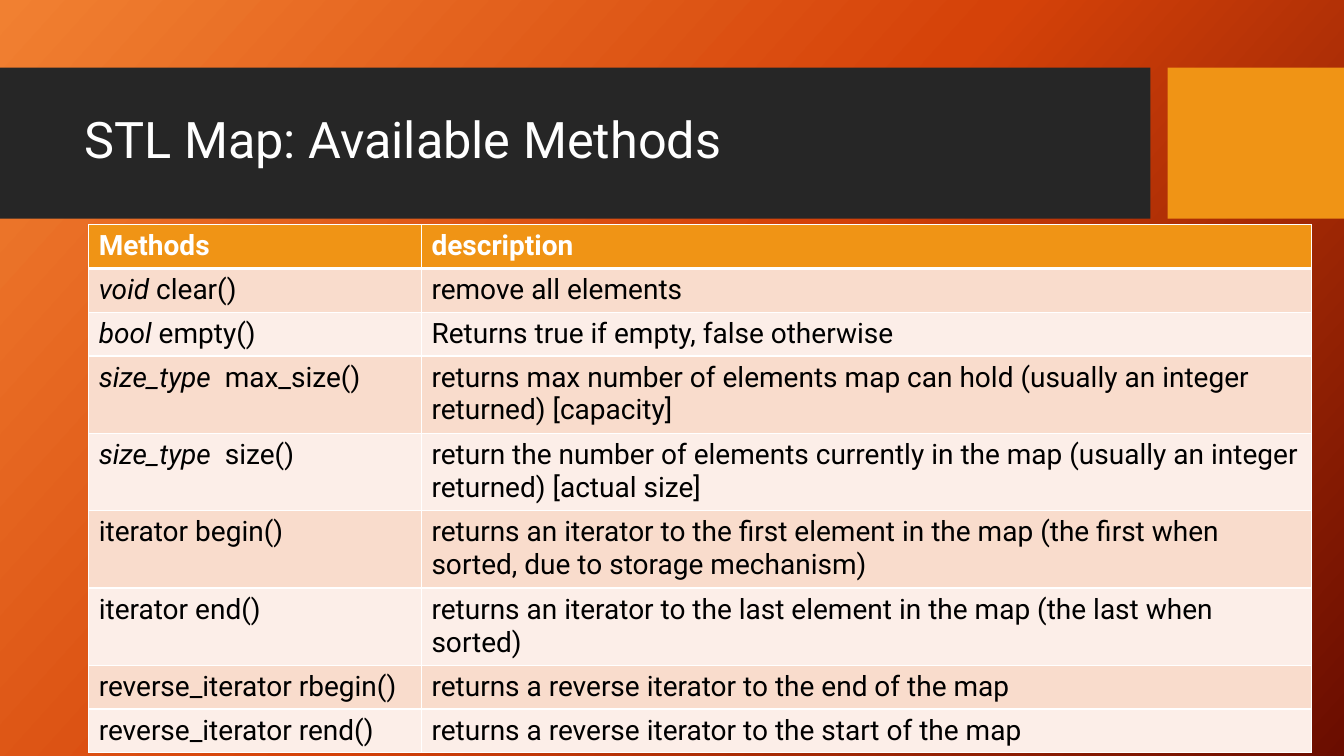
from copy import deepcopy

from lxml.etree import SubElement
from pptx import Presentation
from pptx.dml.color import RGBColor
from pptx.enum.shapes import MSO_SHAPE
from pptx.enum.text import MSO_ANCHOR
from pptx.oxml.ns import qn
from pptx.util import Inches, Pt

WHITE = RGBColor(0xFF, 0xFF, 0xFF)
BLACK = RGBColor(0x00, 0x00, 0x00)
CHARCOAL = RGBColor(0x26, 0x26, 0x26)
AMBER = RGBColor(0xF0, 0x94, 0x15)
PEACH = RGBColor(0xF9, 0xDC, 0xCC)
PALE_PEACH = RGBColor(0xFC, 0xEE, 0xE8)
BACKDROP = [
    (0, RGBColor(0xF1, 0x80, 0x31)),
    (0.5, RGBColor(0xD5, 0x42, 0x09)),
    (1, RGBColor(0x6A, 0x0D, 0x00)),
]
FONT = "Roboto"
HEADINGS = ("Methods", "description")
METHODS = [
    ("void", " clear()", "remove all elements"),
    ("bool", " empty()", "Returns true if empty, false otherwise"),
    ("size_type  ", "max_size()",
     "returns max number of elements map can hold (usually an integer returned) [capacity]"),
    ("size_type", "  size()",
     "return the number of elements currently in the map (usually an integer returned) [actual size]"),
    ("", "iterator begin()",
     "returns an iterator to the first element in the map (the first when sorted, due to storage mechanism)"),
    ("", "iterator end()",
     "returns an iterator to the last element in the map (the last when sorted)"),
    ("", "reverse_iterator rbegin()", "returns a reverse iterator to the end of the map"),
    ("", "reverse_iterator rend()", "returns a reverse iterator to the start of the map"),
]


def add_text(paragraph, text, size=20, color=BLACK, bold=False, italic=False):
    """Append a formatted run to a paragraph."""
    run = paragraph.add_run()
    run.text = text
    run.font.name = FONT
    run.font.size = Pt(size)
    run.font.color.rgb = color
    run.font.bold = bold
    run.font.italic = italic


def paint_backdrop(slide):
    """Fill the slide background with the diagonal three-stop gradient."""
    fill = slide.background.fill
    fill.gradient()
    fill.gradient_angle = 360 - 42
    stop_list = slide.element.find(".//" + qn("a:gsLst"))
    stop_list.append(deepcopy(stop_list[-1]))
    for stop, (position, color) in zip(fill.gradient_stops, BACKDROP):
        stop.position = position
        stop.color.rgb = color


def add_block(slide, left, top, width, height, color):
    """Add a plain rectangle without outline."""
    block = slide.shapes.add_shape(
        MSO_SHAPE.RECTANGLE, Inches(left), Inches(top), Inches(width), Inches(height))
    block.shadow.inherit = False
    block.fill.solid()
    block.fill.fore_color.rgb = color
    block.line.fill.background()


def add_title_band(slide, top, width, height, title):
    """Place the dark title band and its amber end block."""
    accent_width = 1.75
    gap = 0.17
    band_width = width - accent_width - gap
    add_block(slide, 0, top, band_width, height, CHARCOAL)
    add_block(slide, width - accent_width, top, accent_width, height, AMBER)
    heading = slide.shapes.add_textbox(
        Inches(0.74), Inches(top + 0.15), Inches(10.51), Inches(1.18)).text_frame
    heading.word_wrap = True
    heading.vertical_anchor = MSO_ANCHOR.MIDDLE
    heading.paragraphs[0].line_spacing = 0.9
    add_text(heading.paragraphs[0], title, size=36, color=WHITE)


def style_cell(cell, color, top=1, bottom=1):
    """Give a cell white borders and a solid fill."""
    properties = cell._tc.get_or_add_tcPr()
    for side, points in (("L", 1), ("R", 1), ("T", top), ("B", bottom)):
        border = SubElement(properties, qn(f"a:ln{side}"), w=str(Pt(points)))
        paint = SubElement(border, qn("a:solidFill"))
        SubElement(paint, qn("a:srgbClr"), val=str(WHITE))
    cell.fill.solid()
    cell.fill.fore_color.rgb = color


def add_method_table(slide, left, top, column_widths, row_height):
    """Place the table of methods, with a heading row and banded body rows."""
    row_count = len(METHODS) + 1
    table = slide.shapes.add_table(
        row_count, len(column_widths), Inches(left), Inches(top),
        Inches(sum(column_widths)), Inches(row_height * row_count)).table
    for column, width in zip(table.columns, column_widths):
        column.width = Inches(width)
    for row in table.rows:
        row.height = Inches(row_height)
    for cell, heading in zip(table.rows[0].cells, HEADINGS):
        style_cell(cell, AMBER, bottom=3)
        add_text(cell.text_frame.paragraphs[0], heading, color=WHITE, bold=True)
    for index, (return_type, signature, description) in enumerate(METHODS, start=1):
        method_cell, description_cell = table.rows[index].cells
        for cell in (method_cell, description_cell):
            style_cell(cell, PEACH if index % 2 else PALE_PEACH, top=3 if index == 1 else 1)
        method = method_cell.text_frame.paragraphs[0]
        if return_type:
            add_text(method, return_type, italic=True)
        add_text(method, signature)
        add_text(description_cell.text_frame.paragraphs[0], description)


def main():
    """Build the slide and save it."""
    deck = Presentation()
    deck.slide_width = Inches(13.33)
    deck.slide_height = Inches(7.5)
    slide = deck.slides.add_slide(deck.slide_layouts[6])
    paint_backdrop(slide)
    add_title_band(slide, 0.67, 13.33, 1.5, "STL Map: Available Methods")
    add_method_table(slide, 0.88, 2.23, (3.3, 8.83), 0.41)
    deck.save("out.pptx")


if __name__ == "__main__":
    main()
